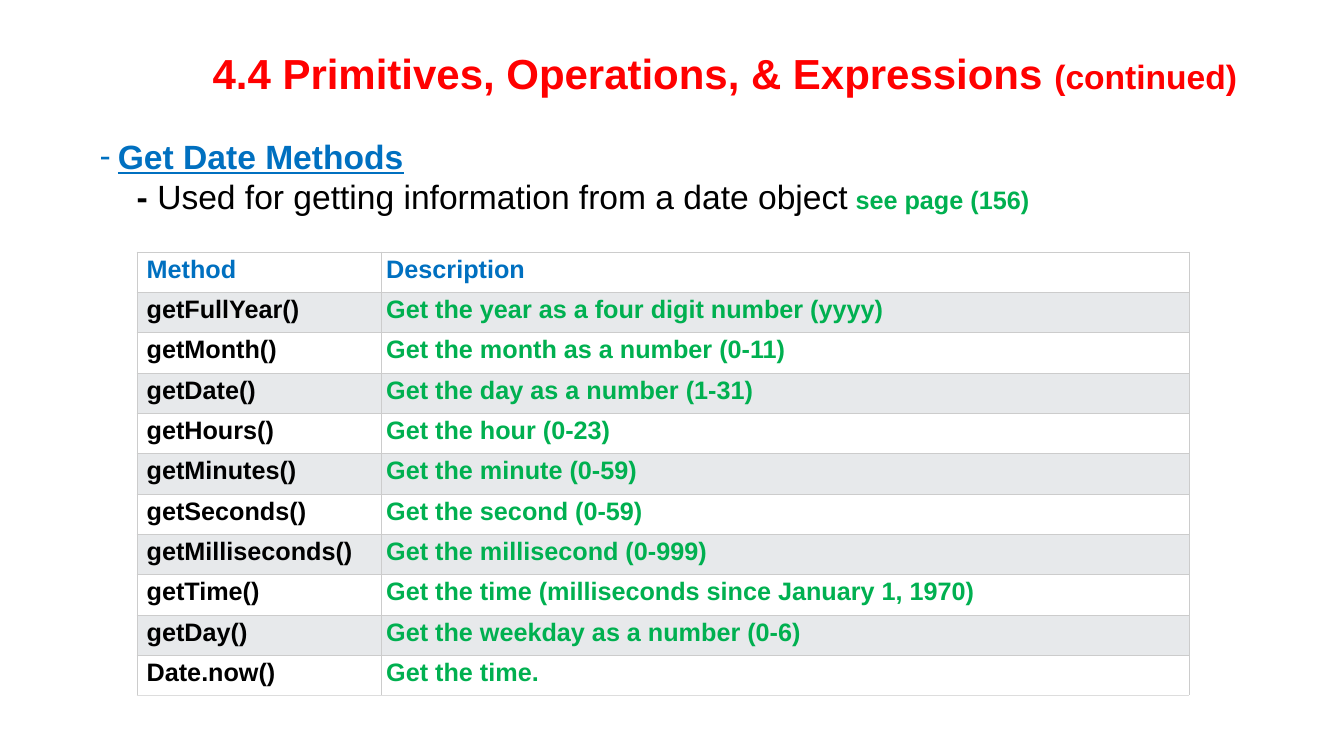
"""Build a slide that lists the get methods of a date object."""
from dataclasses import dataclass

from lxml import etree
from pptx import Presentation
from pptx.dml.color import RGBColor
from pptx.enum.text import MSO_ANCHOR, MSO_AUTO_SIZE, PP_ALIGN
from pptx.oxml.ns import qn
from pptx.util import Inches, Pt

TOP = MSO_ANCHOR.TOP
FIXED = MSO_AUTO_SIZE.NONE
RIGHT = PP_ALIGN.RIGHT


@dataclass(frozen=True)
class Theme:
    """Colours, face and type sizes of the slide."""
    face: str = "Arial"
    red: str = "FF0000"
    blue: str = "0070C0"
    green: str = "00B050"
    black: str = "000000"
    white: str = "FFFFFF"
    band: str = "E7E9EB"
    rule: str = "CCCCCC"
    base: str = "DDDDDD"
    title: int = 40
    head: int = 32
    small: int = 24
    edge: float = 0.28


@dataclass(frozen=True)
class Method:
    """One row of the table."""
    name: str
    use: str


THEME = Theme()
HEAD = Method("Method", "Description")
METHODS = [
    Method("getFullYear()", "Get the year as a four digit number (yyyy)"),
    Method("getMonth()", "Get the month as a number (0-11)"),
    Method("getDate()", "Get the day as a number (1-31)"),
    Method("getHours()", "Get the hour (0-23)"),
    Method("getMinutes()", "Get the minute (0-59)"),
    Method("getSeconds()", "Get the second (0-59)"),
    Method("getMilliseconds()", "Get the millisecond (0-999)"),
    Method("getTime()", "Get the time (milliseconds since January 1, 1970)"),
    Method("getDay()", "Get the weekday as a number (0-6)"),
    Method("Date.now()", "Get the time."),
]


def style(font, size: int, tint: str, bold: bool = True) -> None:
    """Set face, size, colour and weight."""
    font.name = THEME.face
    font.size = Pt(size)
    font.bold = bold
    font.color.rgb = RGBColor.from_string(tint)


def add_run(para, text: str):
    """Add a run of text and return it."""
    run = para.add_run()
    run.text = text
    return run


def set_frame(frame) -> None:
    """Wrap the text from the top of a box of fixed size."""
    frame.word_wrap = True
    frame.auto_size = FIXED
    frame.vertical_anchor = TOP


def add_dash(para, tint: str, indent: float) -> None:
    """Give a paragraph a hanging dash."""
    props = para._p.get_or_add_pPr()
    props.set("marL", str(Inches(indent)))
    props.set("indent", str(-Inches(indent)))
    shade = etree.SubElement(props, qn("a:buClr"))
    etree.SubElement(shade, qn("a:srgbClr"), val=tint)
    etree.SubElement(props, qn("a:buFont"), typeface=THEME.face)
    etree.SubElement(props, qn("a:buChar"), char="-")


def add_tab(para, indent: float, stop: float) -> None:
    """Indent the first line and add one tab stop."""
    props = para._p.get_or_add_pPr()
    props.set("marL", "0")
    props.set("indent", str(Inches(indent)))
    tabs = etree.SubElement(props, qn("a:tabLst"))
    etree.SubElement(tabs, qn("a:tab"), pos=str(Inches(stop)), algn="l")


def add_edges(cell, base: str) -> None:
    """Draw the four borders of a cell."""
    props = cell._tc.get_or_add_tcPr()
    sides = {"lnL": THEME.rule, "lnR": THEME.rule, "lnT": THEME.rule, "lnB": base}
    for side, tint in sides.items():
        line = etree.SubElement(props, qn(f"a:{side}"), w=str(Pt(THEME.edge)))
        fill = etree.SubElement(line, qn("a:solidFill"))
        etree.SubElement(fill, qn("a:srgbClr"), val=tint)


def fill_cell(cell, text: str, tint: str, back: str, base: str, left: float) -> None:
    """Write and colour one cell."""
    cell.margin_left, cell.margin_right = Inches(left), Inches(0.07)
    cell.margin_top = cell.margin_bottom = Inches(0.05)
    add_edges(cell, base)
    cell.fill.solid()
    cell.fill.fore_color.rgb = RGBColor.from_string(back)
    para = cell.text_frame.paragraphs[0]
    style(para.font, THEME.small, tint)
    add_run(para, text)


def add_title(slide) -> None:
    """Place and format the title."""
    title = slide.shapes.title
    title.left, title.top = Inches(1.22), Inches(0.58)
    title.width, title.height = Inches(15.25), Inches(0.8)
    set_frame(title.text_frame)
    para = title.text_frame.paragraphs[0]
    para.alignment = RIGHT
    style(para.font, THEME.title, THEME.red)
    add_run(para, "4.4 Primitives, Operations, & Expressions ")
    add_run(para, "(continued)").font.size = Pt(THEME.head)


def add_intro(slide) -> None:
    """Add the heading and the line below it."""
    box = slide.shapes.add_textbox(Inches(1.22), Inches(1.75), Inches(15.25), Inches(1.2))
    frame = box.text_frame
    set_frame(frame)
    head = frame.paragraphs[0]
    add_dash(head, THEME.blue, 0.24)
    style(head.font, THEME.head, THEME.blue)
    add_run(head, "Get Date Methods").font.underline = True
    line = frame.add_paragraph()
    add_tab(line, 0.49, 10.16)
    style(add_run(line, "- ").font, THEME.head, THEME.black)
    text = "Used for getting information from a date object\t"
    style(add_run(line, text).font, THEME.head, THEME.black, False)
    style(add_run(line, "see page (156)").font, THEME.small, THEME.green)


def add_grid(slide) -> None:
    """Add the table of methods."""
    rows = [HEAD, *METHODS]
    table = slide.shapes.add_table(
        len(rows), 2, Inches(1.81), Inches(3.33), Inches(13.92), Inches(5.87)).table
    table.columns[0].width = Inches(3.23)
    table.columns[1].width = Inches(10.69)
    for i, row in enumerate(rows):
        back = THEME.band if i % 2 else THEME.white
        base = THEME.base if row is rows[-1] else THEME.rule
        tints = (THEME.black, THEME.green) if i else (THEME.blue, THEME.blue)
        fill_cell(table.cell(i, 0), row.name, tints[0], back, base, 0.13)
        fill_cell(table.cell(i, 1), row.use, tints[1], back, base, 0.07)


def main() -> None:
    """Build and save the slide."""
    deck = Presentation()
    deck.slide_width, deck.slide_height = Inches(17.78), Inches(10)
    slide = deck.slides.add_slide(deck.slide_layouts[5])
    add_title(slide)
    add_intro(slide)
    add_grid(slide)
    deck.save("out.pptx")


if __name__ == "__main__":
    main()
